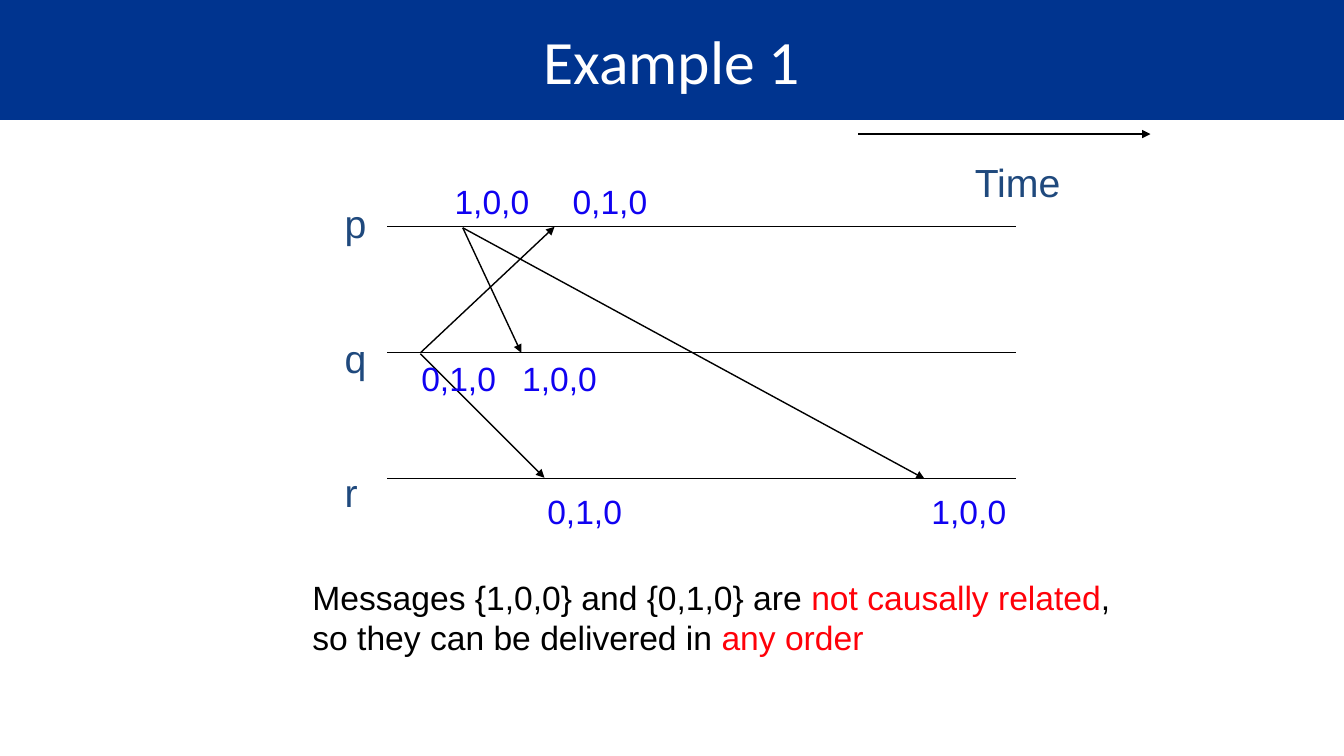
"""Build a slide with a message diagram of three processes over time."""
import pptx
import pptx.dml.color
import pptx.enum.shapes
import pptx.enum.text
import pptx.oxml.ns
import pptx.util
from lxml import etree

SCALE = 9144
WIDE, HIGH = 1333, 750
BLACK, WHITE, NAVY = "000000", "FFFFFF", "00348F"
SLATE, BLUE, RED = "1F497D", "1002F1", "FF0109"

TITLE = "Example 1"
BAR = 119
START, END = 384, 1008
ROWS = [225, 350, 475]
NAMES = [("p", 332, 193, 42), ("q", 332, 327, 42), ("r", 332, 460, 33),
         ("Time", 957, 152, 106)]
ARROWS = [
    (851, 133, 1141, 133),
    (459, 226, 517, 350),
    (459, 226, 917, 475),
    (417, 351, 540, 474),
    (417, 350, 550, 225),
]
CLOCKS = [
    ("1,0,0", 441, 175), ("0,1,0", 558, 175),
    ("0,1,0", 408, 350), ("1,0,0", 508, 350),
    ("0,1,0", 533, 482), ("1,0,0", 914, 482),
]
NOTE = [
    ("Messages {1,0,0} and {0,1,0} are ", BLACK),
    ("not causally related", RED),
    (", so they can be delivered in ", BLACK),
    ("any order", RED),
]


def px(*nums):
    return [pptx.util.Emu(num * SCALE) for num in nums]


def color(text):
    return pptx.dml.color.RGBColor.from_string(text)


def draw_line(slide, ends, arrow=False):
    line = slide.shapes.add_connector(
        pptx.enum.shapes.MSO_CONNECTOR.STRAIGHT, *px(*ends))
    line.line.color.rgb = color(BLACK)
    line.line.width = pptx.util.Pt(1)
    if arrow:
        etree.SubElement(line.line._get_or_add_ln(),
                         pptx.oxml.ns.qn("a:tailEnd"), type="triangle")
    etree.SubElement(line._element.spPr, pptx.oxml.ns.qn("a:effectLst"))


def write(frame, runs, size, font="Arial"):
    para = frame.paragraphs[0]
    para.font.size = pptx.util.Pt(size)
    para.font.name = font
    for text, hue in runs:
        run = para.add_run()
        run.text = text
        if len(runs) > 1:
            run.font.color.rgb = color(hue)
        else:
            para.font.color.rgb = color(hue)
    return para


def add_text(slide, place, runs, size, wrap=False):
    frame = slide.shapes.add_textbox(*px(*place)).text_frame
    frame.word_wrap = wrap
    frame.auto_size = pptx.enum.text.MSO_AUTO_SIZE.SHAPE_TO_FIT_TEXT
    write(frame, runs, size)


def add_title(slide):
    bar = slide.shapes.add_shape(
        pptx.enum.shapes.MSO_SHAPE.RECTANGLE, *px(0, 0, WIDE, BAR))
    bar.shadow.inherit = False
    bar.fill.solid()
    bar.fill.fore_color.rgb = color(NAVY)
    bar.line.fill.background()
    bar.text_frame.vertical_anchor = pptx.enum.text.MSO_ANCHOR.MIDDLE
    para = write(bar.text_frame, [(TITLE, WHITE)], 44, "Calibri")
    para.alignment = pptx.enum.text.PP_ALIGN.CENTER


def main():
    deck = pptx.Presentation()
    deck.slide_width, deck.slide_height = px(WIDE, HIGH)
    slide = deck.slides.add_slide(deck.slide_layouts[6])
    add_title(slide)
    for row in ROWS:
        draw_line(slide, (START, row, END, row))
    for ends in ARROWS:
        draw_line(slide, ends, arrow=True)
    for name, left, top, width in NAMES:
        add_text(slide, (left, top, width, 57), [(name, SLATE)], 28)
    for clock, left, top in CLOCKS:
        add_text(slide, (left, top, 95, 50), [(clock, BLUE)], 24)
    add_text(slide, (300, 567, 825, 91), NOTE, 24, wrap=True)
    deck.save("out.pptx")


if __name__ == "__main__":
    main()
